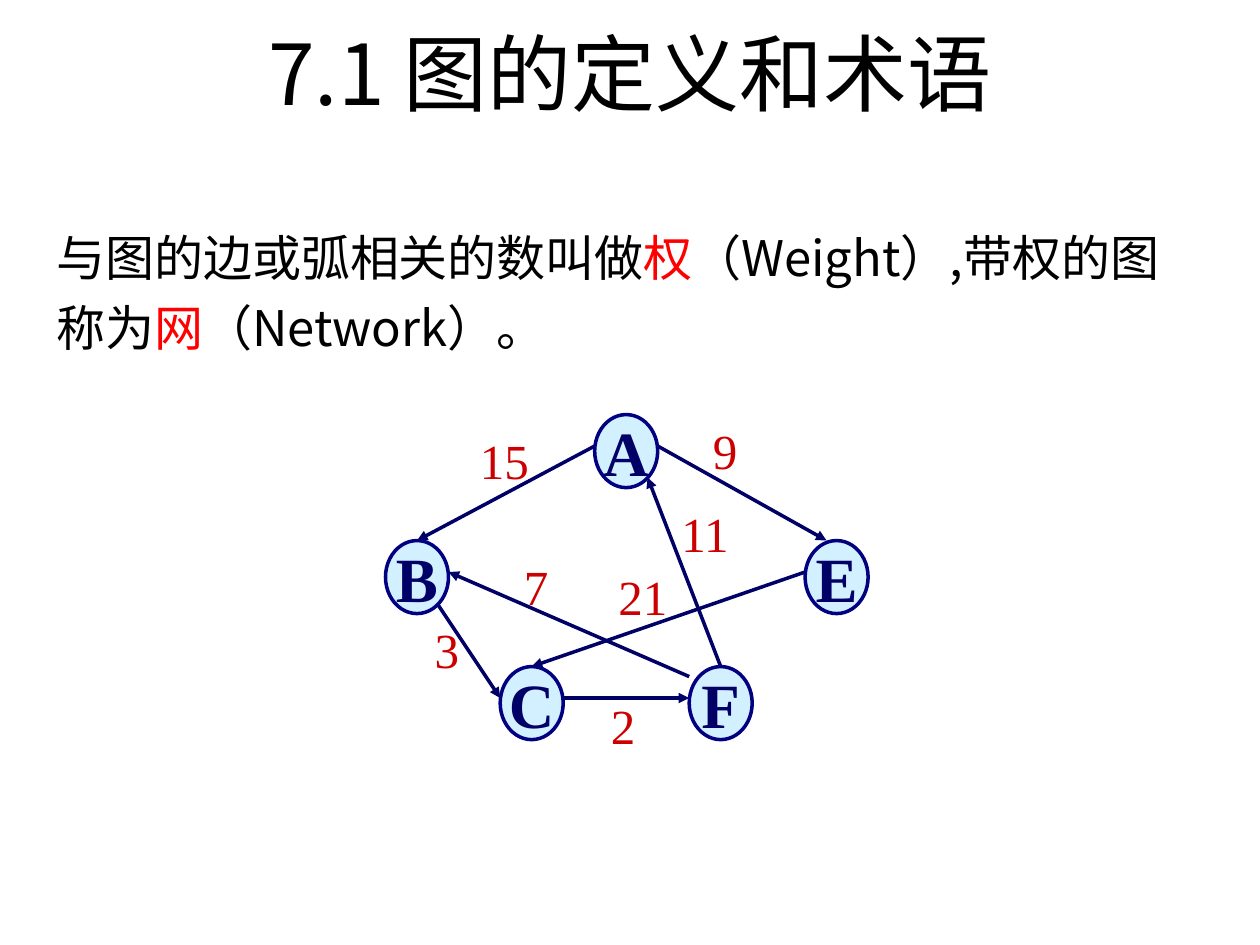
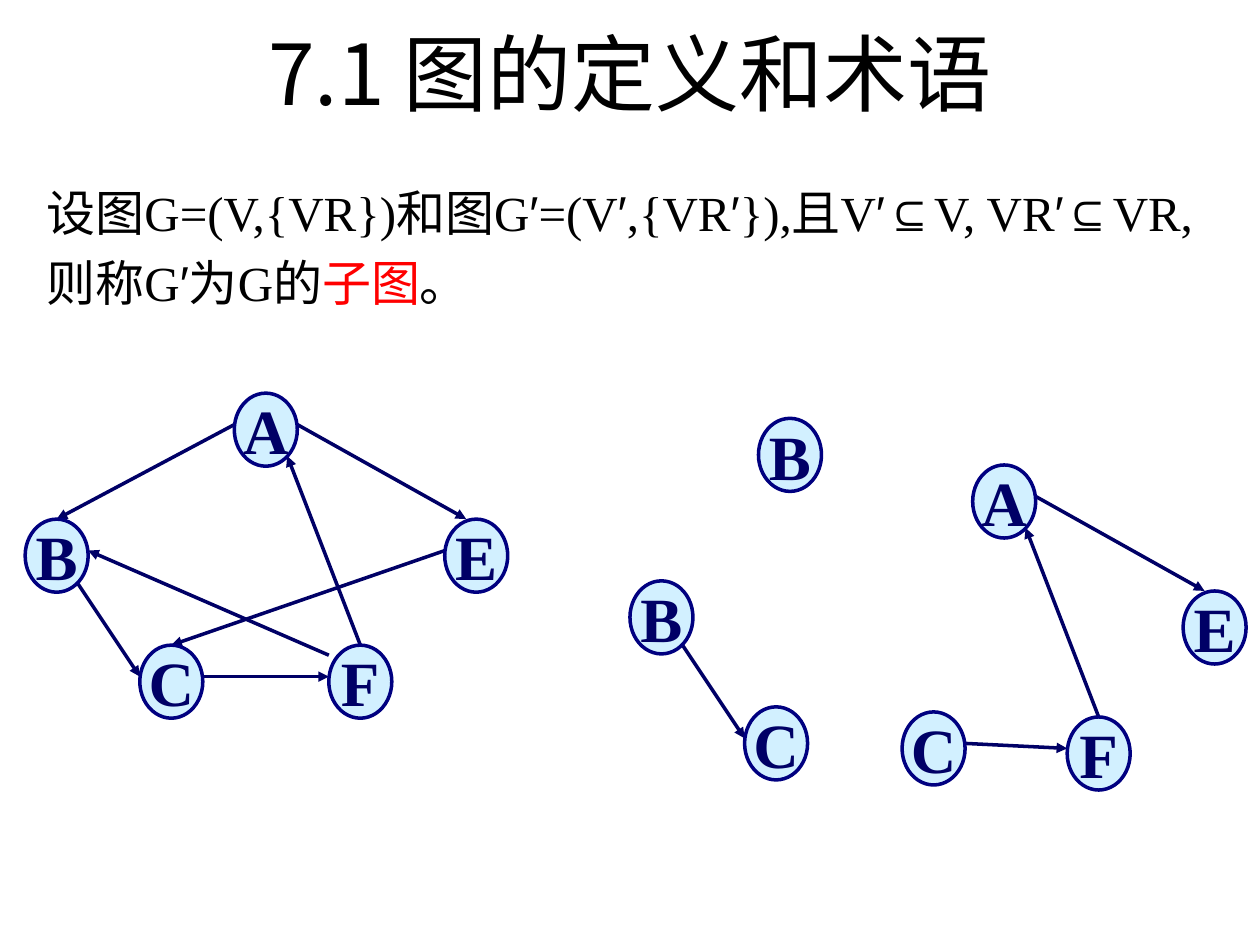
from itertools import groupby

from lxml.etree import SubElement
from pptx import Presentation
from pptx.dml.color import RGBColor
from pptx.enum.shapes import MSO_CONNECTOR, MSO_SHAPE
from pptx.enum.text import MSO_ANCHOR, PP_ALIGN
from pptx.oxml.ns import qn
from pptx.util import Inches, Pt

COLORS = {
    "text": "000000",
    "term": "FF0000",
    "node_fill": "A7E2FF",
    "node_line": "000080",
    "edge": "000066",
    "weight": "CC0000",
}
CHINESE, LATIN, SYMBOL = "Noto Sans CJK SC", "Times New Roman", "Arial"
TITLE = "7.1 图的定义和术语"
NODE_WIDTH, NODE_HEIGHT = 0.5, 0.58

# Top left corner of each node, measured from the corner of the graph.
NODES = {"A": (1.66, 0), "B": (0, 1), "E": (3.33, 1), "C": (0.91, 2), "F": (2.41, 2)}

# Where each arc leaves and enters, measured from the corners of its nodes.
ARCS = {
    "AB": ((0, 0.25), (0.25, 0)),
    "BC": ((0.41, 0.5), (0, 0.25)),
    "CF": ((0.5, 0.25), (0, 0.25)),
    "FA": ((0.25, 0), (0.42, 0.5)),
    "AE": ((0.5, 0.25), (0.17, 0)),
    "FB": ((0, 0.08), (0.5, 0.25)),
    "EC": ((0, 0.25), (0.25, 0)),
}

# Weight of each arc and the place of its label within the graph.
WEIGHTS = {
    "AB": ("15", 0.65, 0.08),
    "AE": ("9", 2.5, 0),
    "FB": ("7", 1, 1.08),
    "EC": ("21", 1.75, 1.16),
    "FA": ("11", 2.25, 0.66),
    "BC": ("3", 0.29, 1.58),
    "CF": ("2", 1.69, 2.18),
}


def color(name):
    return RGBColor.from_string(COLORS[name])


def set_font(font, name, size, color_name, bold=False):
    font.name = name
    font.size = Pt(size)
    font.bold = bold
    font.color.rgb = color(color_name)


def add_run(paragraph, text, font_name, size, color_name):
    """Add a run that uses one font for Latin and East Asian characters."""
    run = paragraph.add_run()
    run.text = text
    set_font(run.font, font_name, size, color_name)
    SubElement(run.font._element, qn("a:ea"), typeface=font_name)


def add_text_box(slide, left, top, width, height, wrap=True):
    box = slide.shapes.add_textbox(*map(Inches, (left, top, width, height)))
    box.text_frame.word_wrap = wrap
    return box.text_frame


def add_title(slide):
    paragraph = add_text_box(slide, 0.5, 0.13, 9, 0.95).paragraphs[0]
    paragraph.alignment = PP_ALIGN.CENTER
    paragraph.line_spacing = Pt(57)
    add_run(paragraph, TITLE, CHINESE, 48, "text")


def font_for(character):
    if character in "′⊆":
        return SYMBOL
    return LATIN if character.isascii() else CHINESE


def add_definition(slide, text, top, width, margin=0.1, choose_font=font_for):
    """Write a definition; a word between asterisks is the defined term."""
    frame = add_text_box(slide, 0.35, top, width, 1.22)
    frame.margin_left = frame.margin_right = Inches(margin)
    paragraph = frame.paragraphs[0]
    paragraph.line_spacing = Pt(40)
    for index, piece in enumerate(text.split("*")):
        color_name = "term" if index % 2 else "text"
        for font_name, characters in groupby(piece, choose_font):
            add_run(paragraph, "".join(characters), font_name, 28, color_name)


def add_arc(slide, start, end):
    arc = slide.shapes.add_connector(
        MSO_CONNECTOR.STRAIGHT, *map(Inches, (*start, *end)))
    arc.line.color.rgb = color("edge")
    arc.line.width = Pt(2)
    SubElement(arc.line._get_or_add_ln(), qn("a:tailEnd"), type="triangle")
    SubElement(arc._element.spPr, qn("a:effectLst"))


def add_node(slide, name, left, top):
    node = slide.shapes.add_shape(
        MSO_SHAPE.OVAL, *map(Inches, (left, top, NODE_WIDTH, NODE_HEIGHT)))
    node.shadow.inherit = False
    node.fill.solid()
    node.fill.fore_color.rgb = color("node_fill")
    fill_color = node._element.spPr.find(qn("a:solidFill"))[0]
    SubElement(fill_color, qn("a:alpha"), val="50000")
    node.line.color.rgb = color("node_line")
    node.line.width = Pt(2)
    frame = node.text_frame
    frame.word_wrap = False
    frame.vertical_anchor = MSO_ANCHOR.MIDDLE
    paragraph = frame.paragraphs[0]
    paragraph.text = name
    paragraph.alignment = PP_ALIGN.CENTER
    set_font(paragraph.font, LATIN, 36, "edge", bold=True)


def add_graph(slide, left, top, names="ABECF", arcs=tuple(ARCS), moved=None):
    """Draw the named nodes and arcs; moved replaces the place of some nodes."""
    places = {**NODES, **(moved or {})}
    corners = {name: (left + places[name][0], top + places[name][1])
               for name in names}
    for arc in arcs:
        ends = [tuple(map(sum, zip(corners[name], offset)))
                for name, offset in zip(arc, ARCS[arc])]
        add_arc(slide, *ends)
    for name, corner in corners.items():
        add_node(slide, name, *corner)


def add_weights(slide, left, top):
    for weight, across, down in WEIGHTS.values():
        width = 0.19 + 0.2 * len(weight)
        frame = add_text_box(slide, left + across, top + down, width, 0.57, wrap=False)
        paragraph = frame.paragraphs[0]
        paragraph.text = weight
        set_font(paragraph.font, LATIN, 28, "weight")


def add_network_slide(slide):
    add_title(slide)
    add_definition(
        slide, "与图的边或弧相关的数叫做*权*（Weight）,带权的图称为*网*（Network）。",
        top=1.67, width=9.21, choose_font=lambda character: CHINESE)
    add_graph(slide, 3.06, 3.29)
    add_weights(slide, 3.06, 3.29)


def add_subgraph_slide(slide):
    add_title(slide)
    add_definition(
        slide, "设图G=(V,{VR})和图G′=(V′,{VR′}),且V′⊆V, VR′⊆VR,则称G′为G的*子图*。",
        top=1.31, width=9.37, margin=0.02)
    add_graph(slide, 0.2, 3.12)
    add_graph(slide, 6.06, 3.69, "AEFC", ("CF", "FA", "AE"), moved={"C": (1.1, 1.96)})
    add_graph(slide, 6.02, 2.32, "B", ())
    add_graph(slide, 5, 3.61, "BC", ("BC",))


def main():
    presentation = Presentation()
    presentation.slide_width = Inches(10)
    presentation.slide_height = Inches(7.5)
    blank_layout = presentation.slide_layouts[6]
    for fill_slide in (add_network_slide, add_subgraph_slide):
        fill_slide(presentation.slides.add_slide(blank_layout))
    presentation.save("out.pptx")


if __name__ == "__main__":
    main()
